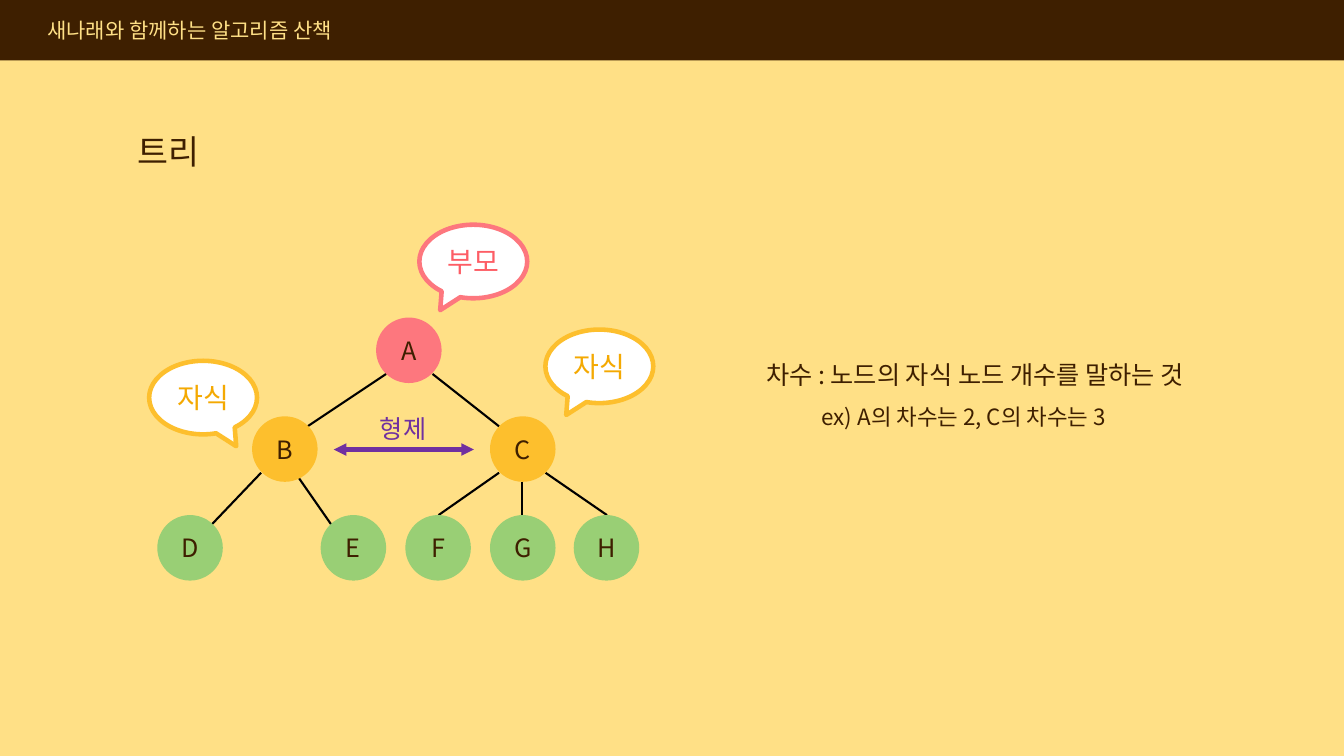
from lxml.etree import SubElement
from pptx import Presentation
from pptx.dml.color import RGBColor
from pptx.enum.shapes import MSO_CONNECTOR as Connector, MSO_SHAPE as Preset
from pptx.enum.text import MSO_ANCHOR as Anchor, MSO_AUTO_SIZE as AutoSize, PP_ALIGN as Align
from pptx.oxml.ns import qn
from pptx.util import Inches, Pt

BROWN = RGBColor(0x3E, 0x1F, 0x00)
CREAM = RGBColor(0xFF, 0xE0, 0x86)
PINK = RGBColor(0xFD, 0x77, 0x7E)
PINK_TEXT = RGBColor(0xFD, 0x5D, 0x65)
AMBER = RGBColor(0xFD, 0xBF, 0x2D)
AMBER_TEXT = RGBColor(0xF4, 0xA9, 0x02)
GREEN = RGBColor(0x99, 0xCF, 0x75)
PURPLE = RGBColor(0x70, 0x30, 0xA0)
WHITE = RGBColor(0xFF, 0xFF, 0xFF)
BLACK = RGBColor(0x00, 0x00, 0x00)

NODE_SIZE = 0.65
TREE_TOP = 3.15
LEVEL_STEP = 0.98
LEVELS = [
    (PINK, {"A": 3.73}),
    (AMBER, {"B": 2.5, "C": 4.86}),
    (GREEN, {"D": 1.56, "E": 3.18, "F": 4.02, "G": 4.86, "H": 5.69}),
]
EDGES = [
    ((3.83, 3.71), (3.05, 4.23)),
    ((4.29, 3.71), (4.95, 4.23)),
    ((5.41, 4.69), (6.02, 5.11)),
    ((5.18, 4.78), (5.18, 5.34)),
    ((4.95, 4.69), (4.35, 5.11)),
    ((2.9, 4.65), (3.38, 5.34)),
    ((2.59, 4.69), (1.97, 5.34)),
]
CALLOUTS = [
    ("부모", 4.16, 2.23, -0.307, PINK, PINK_TEXT),
    ("자식", 5.41, 3.27, -0.307, AMBER, AMBER_TEXT),
    ("자식", 1.48, 3.58, 0.307, AMBER, AMBER_TEXT),
]


def apply(target, values):
    for name, value in values.items():
        setattr(target, name, value)


class SlideBuilder:
    font_name = "Noto Sans CJK KR"

    def __init__(self, slide):
        self.slide = slide
        self.shapes = slide.shapes

    def background(self, color):
        fill = self.slide.background.fill
        fill.solid()
        fill.fore_color.rgb = color

    def styled_run(self, paragraph, text, size, color, **format_values):
        apply(paragraph, format_values)
        run = paragraph.add_run()
        run.text = text
        apply(run.font, {"name": self.font_name, "size": Pt(size), "bold": False})
        run.font.color.rgb = color
        SubElement(run._r.get_or_add_rPr(), qn("a:ea"), typeface=self.font_name)

    def title(self, text, box, size, color):
        shape = self.slide.shapes.title
        apply(shape, dict(zip(("left", "top", "width", "height"), map(Inches, box))))
        apply(shape.text_frame, {"word_wrap": True, "vertical_anchor": Anchor.TOP,
                                 "auto_size": AutoSize.NONE})
        self.styled_run(shape.text_frame.paragraphs[0], text, size, color,
                        alignment=Align.LEFT, line_spacing=1.0, space_before=Pt(0))

    def text(self, box, lines, color, line_spacing=1.0):
        frame = self.slide.shapes.add_textbox(*map(Inches, box)).text_frame
        apply(frame, {"word_wrap": True, "auto_size": AutoSize.SHAPE_TO_FIT_TEXT})
        for index, (text, size, indent) in enumerate(lines):
            paragraph = frame.add_paragraph() if index else frame.paragraphs[0]
            if indent:
                paragraph._p.get_or_add_pPr().set("marL", str(Inches(indent)))
            self.styled_run(paragraph, text, size, color, line_spacing=line_spacing)

    def shape(self, preset, box, fill, line=None):
        shape = self.shapes.add_shape(preset, *map(Inches, box))
        shape.shadow.inherit = False
        shape.fill.solid()
        shape.fill.fore_color.rgb = fill
        if line:
            shape.line.color.rgb = line
            shape.line.width = Pt(3.25)
        else:
            shape.line.fill.background()
        return shape

    def label(self, shape, text, size, color):
        apply(shape.text_frame, {"vertical_anchor": Anchor.MIDDLE, "word_wrap": True})
        self.styled_run(shape.text_frame.paragraphs[0], text, size, color,
                        alignment=Align.CENTER)

    def node(self, name, left, top, fill):
        shape = self.shape(Preset.OVAL, (left, top, NODE_SIZE, NODE_SIZE), fill)
        self.label(shape, name, 18, BROWN)

    def callout(self, text, left, top, tail, line, color):
        shape = self.shape(Preset.OVAL_CALLOUT, (left, top, 1.07, 0.73), WHITE, line)
        shape.adjustments[0] = tail
        shape.adjustments[1] = 0.661
        self.label(shape, text, 20, color)

    def line(self, start, end, color, width, arrows=False):
        connector = self.shapes.add_connector(Connector.STRAIGHT, *map(Inches, start + end))
        connector.line.color.rgb = color
        connector.line.width = Pt(width)
        properties = connector._element.spPr
        if arrows:
            for tag in ("a:headEnd", "a:tailEnd"):
                SubElement(properties.find(qn("a:ln")), qn(tag), type="triangle")
        SubElement(properties, qn("a:effectLst"))

    def tree(self):
        self.shapes = self.slide.shapes.add_group_shape().shapes
        for start, end in EDGES:
            self.line(start, end, BLACK, 1.5)
        for depth, (fill, nodes) in enumerate(LEVELS):
            for name, left in nodes.items():
                self.node(name, left, TREE_TOP + depth * LEVEL_STEP, fill)
        self.shapes = self.slide.shapes


def main():
    presentation = Presentation()
    apply(presentation, {"slide_width": Inches(13.33), "slide_height": Inches(7.5)})
    builder = SlideBuilder(presentation.slides.add_slide(presentation.slide_layouts[5]))
    builder.background(CREAM)
    builder.title("트리", (1.26, 1.25, 1.45, 0.51), 24, BROWN)
    builder.tree()
    builder.text((7.5, 3.37, 4.56, 0.96), [
        ("차수 : 노드의 자식 노드 개수를 말하는 것", 18, 0),
        ("ex) A의 차수는 2, C의 차수는 3", 16, 0.55),
    ], BROWN, line_spacing=1.5)
    for callout in CALLOUTS:
        builder.callout(*callout)
    builder.line((3.31, 4.46), (4.7, 4.46), PURPLE, 3, arrows=True)
    builder.text((3.67, 4.05, 0.67, 0.4), [("형제", 18, 0)], PURPLE)
    builder.shape(Preset.RECTANGLE, (-0.01, -0.01, 13.35, 0.61), BROWN)
    builder.text((0.37, 0.12, 5, 0.35), [("새나래와 함께하는 알고리즘 산책", 15, 0)], CREAM)
    presentation.save("out.pptx")


if __name__ == "__main__":
    main()
